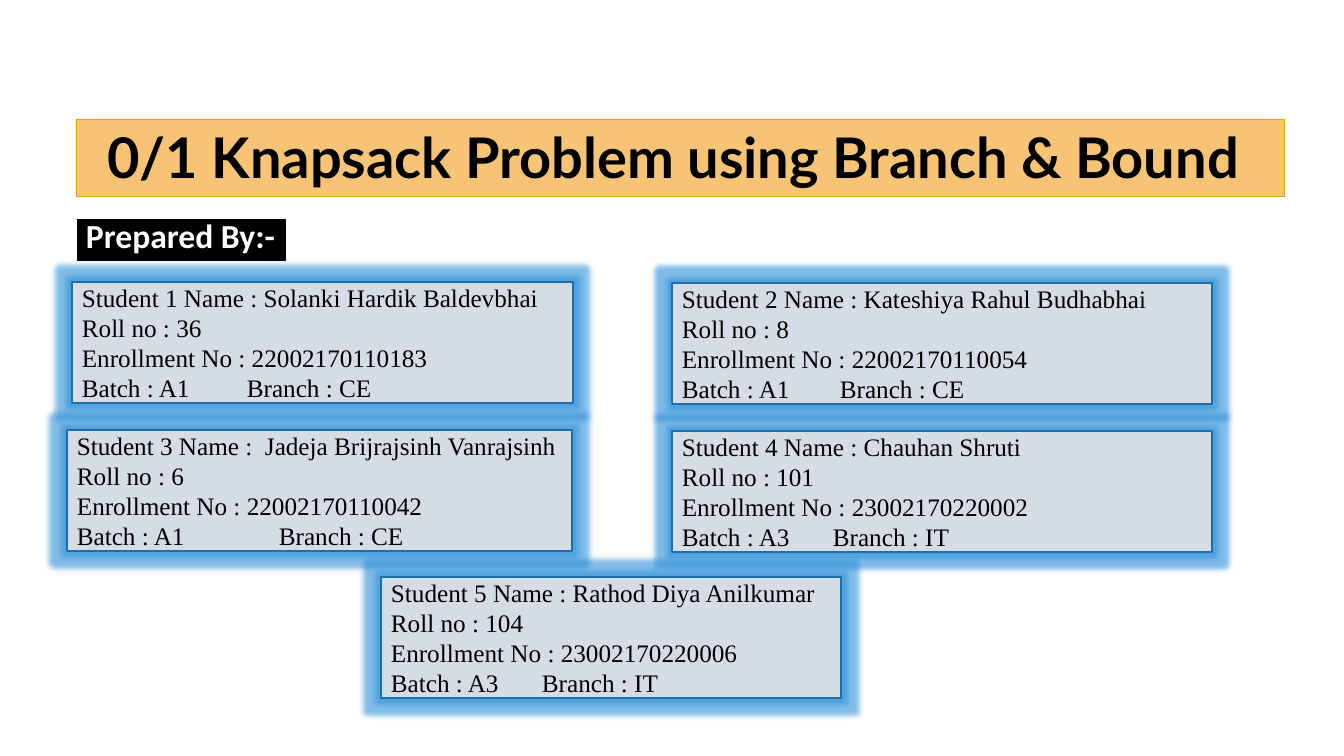
from lxml import etree
from pptx import Presentation
from pptx.dml.color import RGBColor
from pptx.enum.shapes import MSO_SHAPE
from pptx.enum.text import MSO_ANCHOR, PP_ALIGN
from pptx.oxml.ns import qn
from pptx.util import Emu, Pt

RECTANGLE = MSO_SHAPE.RECTANGLE
TOP, MIDDLE, BOTTOM = MSO_ANCHOR.TOP, MSO_ANCHOR.MIDDLE, MSO_ANCHOR.BOTTOM
LEFT, CENTER = PP_ALIGN.LEFT, PP_ALIGN.CENTER
EMU_PER_PX = 914400 / 100.8
CARD_HEIGHT = 121

STUDENTS = [
    (72, 282, 501, "Student 1 Name : Solanki Hardik Baldevbhai",
     "36", "22002170110183", "A1", "CE", 165),
    (67, 430, 505, "Student 3 Name :  Jadeja Brijrajsinh Vanrajsinh",
     "6", "22002170110042", "A1", "CE", 202),
    (672, 283, 540, "Student 2 Name : Kateshiya Rahul Budhabhai",
     "8", "22002170110054", "A1", "CE", 158),
    (672, 431, 540, "Student 4 Name : Chauhan Shruti",
     "101", "23002170220002", "A3", "IT", 151),
    (381, 577, 460, "Student 5 Name : Rathod Diya Anilkumar",
     "104", "23002170220006", "A3", "IT", 151),
]


def px(length):
    return Emu(round(length * EMU_PER_PX))


def rgb(color):
    return RGBColor.from_string(color)


class KnapsackCover:
    card_fill = "D6DCE5"
    card_line = "1D6FA9"
    glow_color = "2E90D9"
    card_font = "Times New Roman"
    ink = "000000"
    paper = "FFFFFF"

    def __init__(self, slide):
        self.slide = slide

    def panel(self, left, top, width, height, fill, line, weight, anchor):
        panel = self.slide.shapes.add_shape(
            RECTANGLE, px(left), px(top), px(width), px(height))
        panel.fill.solid()
        panel.fill.fore_color.rgb = rgb(fill)
        panel.line.color.rgb = rgb(line)
        panel.line.width = Pt(weight)
        panel.shadow.inherit = False
        panel.text_frame.word_wrap = True
        panel.text_frame.vertical_anchor = anchor
        return panel

    def add_words(self, paragraph, words, font, size, color, bold=False, align=LEFT):
        paragraph.alignment = align
        run = paragraph.add_run()
        run.text = words
        run.font.name = font
        run.font.size = Pt(size)
        run.font.bold = bold
        run.font.color.rgb = rgb(color)

    def title(self, words):
        banner = self.panel(76, 119, 1208, 77, "F7C475", "F19D19", 0.5, BOTTOM)
        heading = banner.text_frame.paragraphs[0]
        heading.line_spacing = 0.9
        self.add_words(heading, words, "Lato", 40, self.ink, True, CENTER)

    def subtitle(self, words):
        label = self.panel(76, 218, 211, 44, self.ink, self.paper, 1.5, TOP)
        caption = label.text_frame.paragraphs[0]
        caption.line_spacing = 0.8
        caption.space_before = Pt(10)
        self.add_words(caption, words, "Calibri", 24, self.paper, True)

    def glow(self, panel):
        effects = panel._element.spPr.find(qn("a:effectLst"))
        halo = etree.SubElement(effects, qn("a:glow"), rad=str(Pt(8)))
        tint = etree.SubElement(halo, qn("a:srgbClr"), val=self.glow_color)
        etree.SubElement(tint, qn("a:alpha"), val="60000")

    def tab_stop(self, paragraph, position):
        tabs = etree.SubElement(paragraph._p.get_or_add_pPr(), qn("a:tabLst"))
        etree.SubElement(tabs, qn("a:tab"), pos=str(px(position)), algn="l")

    def student(self, left, top, width, name, roll, enrollment, batch, branch, branch_offset):
        card = self.panel(left, top, width, CARD_HEIGHT,
                          self.card_fill, self.card_line, 1, MIDDLE)
        self.glow(card)
        details = [name, f"Roll no : {roll}", f"Enrollment No : {enrollment}",
                   f"Batch : {batch}\tBranch : {branch}"]
        frame = card.text_frame
        for index, detail in enumerate(details):
            row = frame.add_paragraph() if index else frame.paragraphs[0]
            self.add_words(row, detail, self.card_font, 18, self.ink)
        self.tab_stop(row, branch_offset)


def main():
    deck = Presentation()
    deck.slide_width, deck.slide_height = px(1344), px(756)
    cover = KnapsackCover(deck.slides.add_slide(deck.slide_layouts[6]))
    cover.title("0/1 Knapsack Problem using Branch & Bound ")
    cover.subtitle("Prepared By:-")
    for student in STUDENTS:
        cover.student(*student)
    deck.save("out.pptx")


if __name__ == "__main__":
    main()
